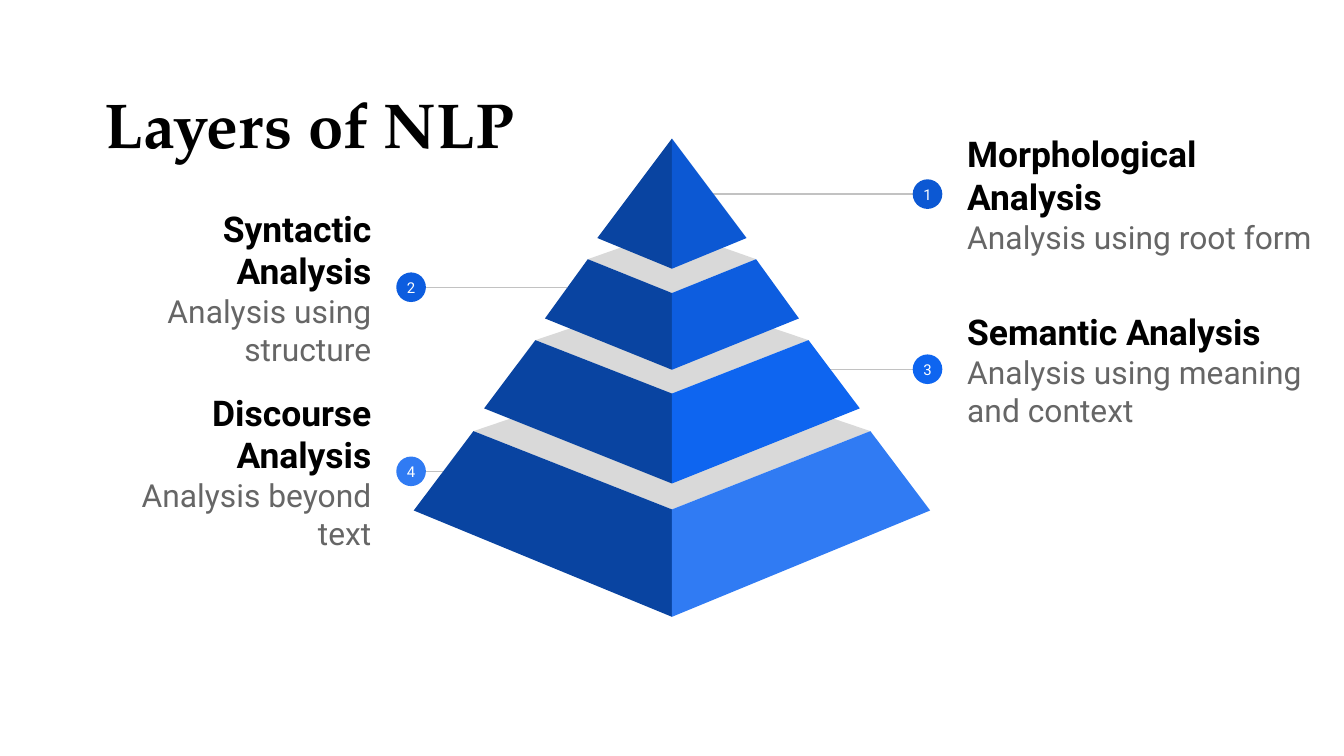
from collections import namedtuple

from lxml import etree
from pptx import Presentation
from pptx import util as u
from pptx.dml.color import RGBColor
from pptx.enum import shapes, text
from pptx.oxml.ns import qn

BLACK = RGBColor(0x00, 0x00, 0x00)
GREY = RGBColor(0x66, 0x66, 0x66)
WHITE = RGBColor(0xFF, 0xFF, 0xFF)
LINE = RGBColor(0xC2, 0xC2, 0xC2)
LID = RGBColor(0xD9, 0xD9, 0xD9)
SHADE = RGBColor(0x09, 0x44, 0xA1)

AXIS = 12.7  # horizontal centre of the pyramid, cm

# One tier of the pyramid: half widths and heights in cm.
Tier = namedtuple("Tier", "top_half base_half back shoulder front base_side base_front")
# A numbered layer: cy is the callout's centre, start is where its line meets the tier.
Layer = namedtuple("Layer", "name note color on_right cy start tier")

LAYERS = [
    Layer("Morphological Analysis", "Analysis using root form",
          RGBColor(0x0C, 0x58, 0xD3), True, 3.67, 13.44,
          Tier(0, 1.41, None, 2.62, 2.62, 4.5, 5.08)),
    Layer("Syntactic Analysis", "Analysis using structure",
          RGBColor(0x0D, 0x5D, 0xDF), False, 5.43, 10.72,
          Tier(1.59, 2.4, 4.34, 4.9, 5.54, 6.02, 6.99)),
    Layer("Semantic Analysis", "Analysis using meaning and context",
          RGBColor(0x0E, 0x65, 0xF0), True, 6.98, 15.62,
          Tier(2.58, 3.55, 5.56, 6.43, 7.44, 7.72, 9.14)),
    Layer("Discourse Analysis", "Analysis beyond text",
          RGBColor(0x30, 0x7B, 0xF3), False, 8.91, 10.72,
          Tier(3.75, 4.88, 6.88, 8.15, 9.63, 9.65, 11.66)),
]


class Deck:
    """Holds the style and the current slide; all lengths are in cm."""

    title_font = "TeX Gyre Pagella"
    body_font = "Roboto"
    inset = 0.25

    def __init__(self, width, height):
        self.prs = Presentation()
        self.prs.slide_width = u.Cm(width)
        self.prs.slide_height = u.Cm(height)
        self.s = self.prs.slides.add_slide(self.prs.slide_layouts[5])

    def frame(self, sp, anchor, inset):
        tf = sp.text_frame
        tf.word_wrap = True
        tf.auto_size = text.MSO_AUTO_SIZE.NONE
        tf.vertical_anchor = anchor
        tf.margin_left = tf.margin_right = u.Cm(inset)
        tf.margin_top = tf.margin_bottom = u.Cm(inset)
        return tf

    def set_paragraph(self, p, words, font, size, color, align, bold=False):
        p.text = words
        p.alignment = align
        p.font.name = font
        p.font.size = u.Pt(size)
        p.font.bold = bold
        p.font.color.rgb = color

    def title(self, words, x, y, w, h):
        sp = self.s.shapes.title
        sp.left, sp.top, sp.width, sp.height = (u.Cm(v) for v in (x, y, w, h))
        tf = self.frame(sp, text.MSO_ANCHOR.TOP, self.inset)
        self.set_paragraph(tf.paragraphs[0], words, self.title_font, 34, BLACK,
                           text.PP_ALIGN.LEFT, bold=True)

    def label(self, name, note, x, cy, w, align, h=2.92):
        sp = self.s.shapes.add_textbox(u.Cm(x), u.Cm(cy - h / 2), u.Cm(w), u.Cm(h))
        tf = self.frame(sp, text.MSO_ANCHOR.MIDDLE, self.inset)
        self.set_paragraph(tf.paragraphs[0], name, self.body_font, 19, BLACK, align,
                           bold=True)
        p = tf.add_paragraph()
        self.set_paragraph(p, note, self.body_font, 17, GREY, align)
        p.space_after = u.Pt(16)

    def line(self, x1, x2, y):
        c = self.s.shapes.add_connector(shapes.MSO_CONNECTOR.STRAIGHT,
                                        u.Cm(x1), u.Cm(y), u.Cm(x2), u.Cm(y))
        c.line.color.rgb = LINE
        c.line.width = u.Pt(0.75)
        etree.SubElement(c._element.spPr, qn("a:effectLst"))

    def marker(self, number, cx, cy, color, d=0.56):
        sp = self.s.shapes.add_shape(shapes.MSO_SHAPE.OVAL, u.Cm(cx - d / 2),
                                     u.Cm(cy - d / 2), u.Cm(d), u.Cm(d))
        self.paint(sp, color)
        tf = self.frame(sp, text.MSO_ANCHOR.MIDDLE, 0)
        self.set_paragraph(tf.paragraphs[0], str(number), self.body_font, 8, WHITE,
                           text.PP_ALIGN.CENTER)

    def polygon(self, points, color):
        pts = [(u.Cm(x), u.Cm(y)) for x, y in points]
        fb = self.s.shapes.build_freeform(*pts[0])
        fb.add_line_segments(pts[1:], close=True)
        self.paint(fb.convert_to_shape(), color)

    def paint(self, sp, color):
        sp.shadow.inherit = False
        sp.fill.solid()
        sp.fill.fore_color.rgb = color
        sp.line.fill.background()

    def tier(self, t, color):
        """Draw the grey lid, the shaded left face and the lit right face."""
        if t.back is not None:
            self.polygon([(AXIS - t.top_half, t.shoulder), (AXIS, t.front),
                          (AXIS + t.top_half, t.shoulder), (AXIS, t.back)], LID)
        for side, fill in ((-1, SHADE), (1, color)):
            self.polygon([(AXIS + side * t.top_half, t.shoulder), (AXIS, t.front),
                          (AXIS, t.base_front),
                          (AXIS + side * t.base_half, t.base_side)], fill)

    def callout(self, number, layer):
        if layer.on_right:
            x, w, cx, align = 18.03, 7.09, 17.53, text.PP_ALIGN.LEFT
        else:
            x, w, cx, align = 1.5, 5.77, 7.77, text.PP_ALIGN.RIGHT
        self.label(layer.name, layer.note, x, layer.cy, w, align)
        self.line(layer.start, cx, layer.cy)
        self.marker(number, cx, layer.cy, layer.color)


def main():
    deck = Deck(25.4, 14.29)
    deck.title("Layers of NLP", 1.73, 1.35, 23.67, 1.6)
    for number, layer in enumerate(LAYERS, start=1):
        deck.callout(number, layer)
    for layer in reversed(LAYERS):
        deck.tier(layer.tier, layer.color)
    deck.prs.save("out.pptx")


if __name__ == "__main__":
    main()
